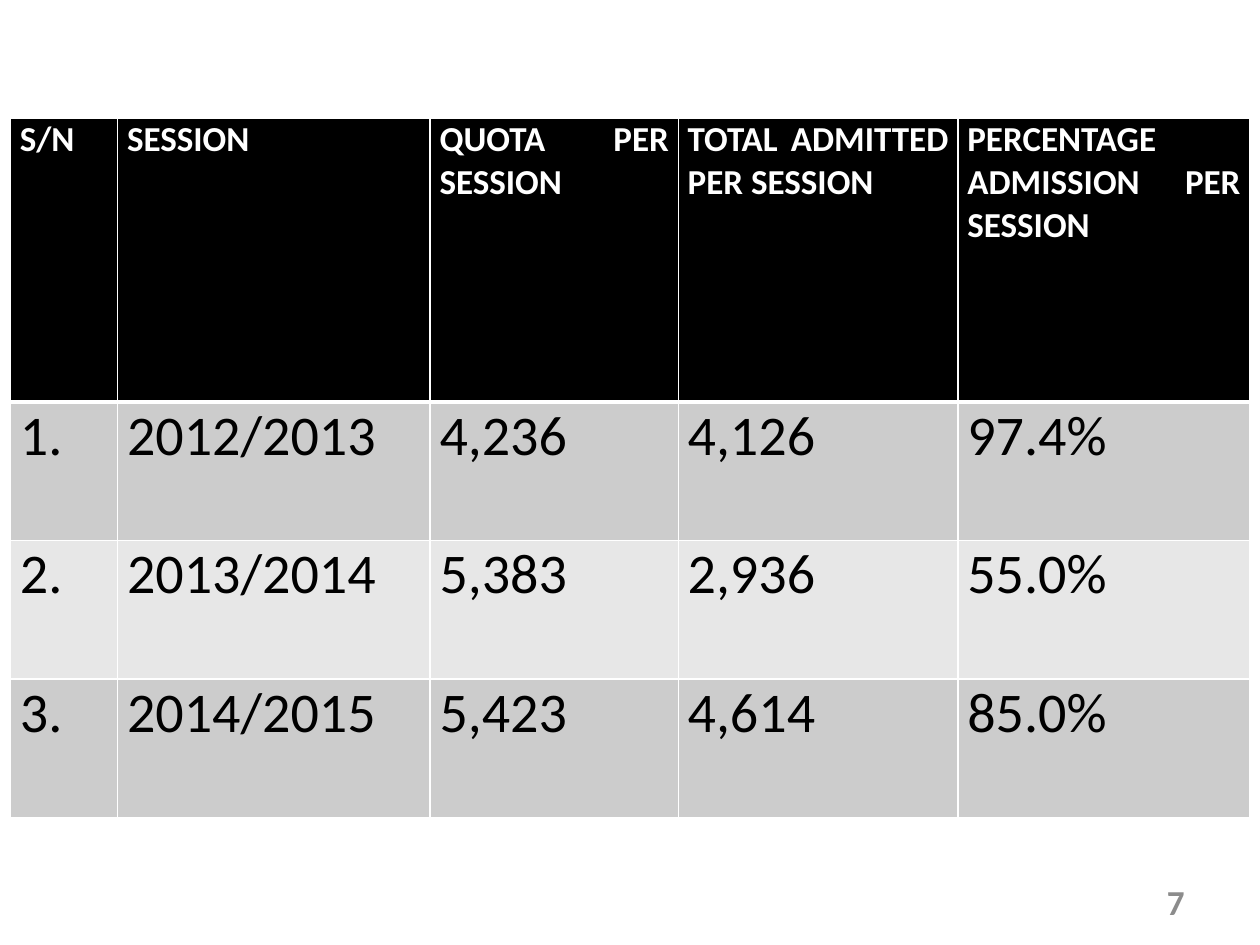
from dataclasses import dataclass

from lxml import etree
from pptx import Presentation
from pptx import util as u
from pptx.dml.color import RGBColor
from pptx.enum import text
from pptx.oxml import ns

WHITE = RGBColor(0xFF, 0xFF, 0xFF)
BLACK = RGBColor(0x00, 0x00, 0x00)
DARK_BAND = RGBColor(0xCC, 0xCC, 0xCC)
LIGHT_BAND = RGBColor(0xE7, 0xE7, 0xE7)
NUMBER_GRAY = RGBColor(0x8C, 0x8C, 0x8C)
FONT = "Calibri"
THIN, THICK = 1, 3

COLUMN_WIDTHS = (61.2, 178.6, 141.8, 159.8, 167)
HEADER_HEIGHT, BODY_HEIGHT = 162, 79.2


@dataclass(frozen=True)
class TableRow:
    values: tuple[str, ...]
    fill: RGBColor
    color: RGBColor = BLACK
    size: float = 32
    bold: bool = False
    height: float = BODY_HEIGHT
    top: float = THIN
    bottom: float = THIN


ROWS = (
    TableRow(("S/N", "SESSION", "QUOTA PER SESSION", "TOTAL ADMITTED PER SESSION",
              "PERCENTAGE ADMISSION PER SESSION"),
             BLACK, WHITE, 20, True, HEADER_HEIGHT, bottom=THICK),
    TableRow(("1.", "2012/2013", "4,236", "4,126", "97.4%"), DARK_BAND, top=THICK),
    TableRow(("2.", "2013/2014", "5,383", "2,936", "55.0%"), LIGHT_BAND),
    TableRow(("3.", "2014/2015", "5,423", "4,614", "85.0%"), DARK_BAND),
)


def style_paragraph(paragraph, size: float, color: RGBColor, bold: bool, alignment) -> None:
    paragraph.alignment = alignment
    paragraph.font.name = FONT
    paragraph.font.size = u.Pt(size)
    paragraph.font.bold = bold
    paragraph.font.color.rgb = color


def set_borders(cell, top: float, bottom: float) -> None:
    properties = cell._tc.get_or_add_tcPr()
    widths = {"a:lnL": THIN, "a:lnR": THIN, "a:lnT": top, "a:lnB": bottom}
    for index, (tag, width) in enumerate(widths.items()):
        line = etree.Element(ns.qn(tag), w=str(u.Pt(width)))
        fill = etree.SubElement(line, ns.qn("a:solidFill"))
        etree.SubElement(fill, ns.qn("a:srgbClr"), val=str(WHITE))
        properties.insert(index, line)


def fill_cell(cell, value: str, row: TableRow) -> None:
    cell.text = value
    cell.margin_left = cell.margin_right = u.Pt(5.4)
    cell.margin_top = cell.margin_bottom = 0
    cell.fill.solid()
    cell.fill.fore_color.rgb = row.fill
    style_paragraph(cell.text_frame.paragraphs[0], row.size, row.color, row.bold,
                    text.PP_ALIGN.JUSTIFY)
    set_borders(cell, row.top, row.bottom)


def add_admission_table(slide) -> None:
    table = slide.shapes.add_table(
        len(ROWS), len(COLUMN_WIDTHS), u.Pt(6), u.Pt(67.7),
        u.Pt(sum(COLUMN_WIDTHS)), u.Pt(sum(row.height for row in ROWS))).table
    for column, width in zip(table.columns, COLUMN_WIDTHS):
        column.width = u.Pt(width)
    for table_row, row in zip(table.rows, ROWS):
        table_row.height = u.Pt(row.height)
        for cell, value in zip(table_row.cells, row.values):
            fill_cell(cell, value, row)


def add_slide_number(slide, number: str) -> None:
    box = slide.shapes.add_textbox(u.Pt(516), u.Pt(500.5), u.Pt(168), u.Pt(28.75))
    frame = box.text_frame
    frame.word_wrap = True
    frame.vertical_anchor = text.MSO_ANCHOR.MIDDLE
    frame.text = number
    style_paragraph(frame.paragraphs[0], 20, NUMBER_GRAY, True, text.PP_ALIGN.RIGHT)


def main() -> None:
    presentation = Presentation()
    presentation.slide_width, presentation.slide_height = u.Pt(720), u.Pt(540)
    slide = presentation.slides.add_slide(presentation.slide_layouts[6])

    # Admissions by session
    add_admission_table(slide)

    # Footer
    add_slide_number(slide, "7")

    presentation.save("out.pptx")


if __name__ == "__main__":
    main()
